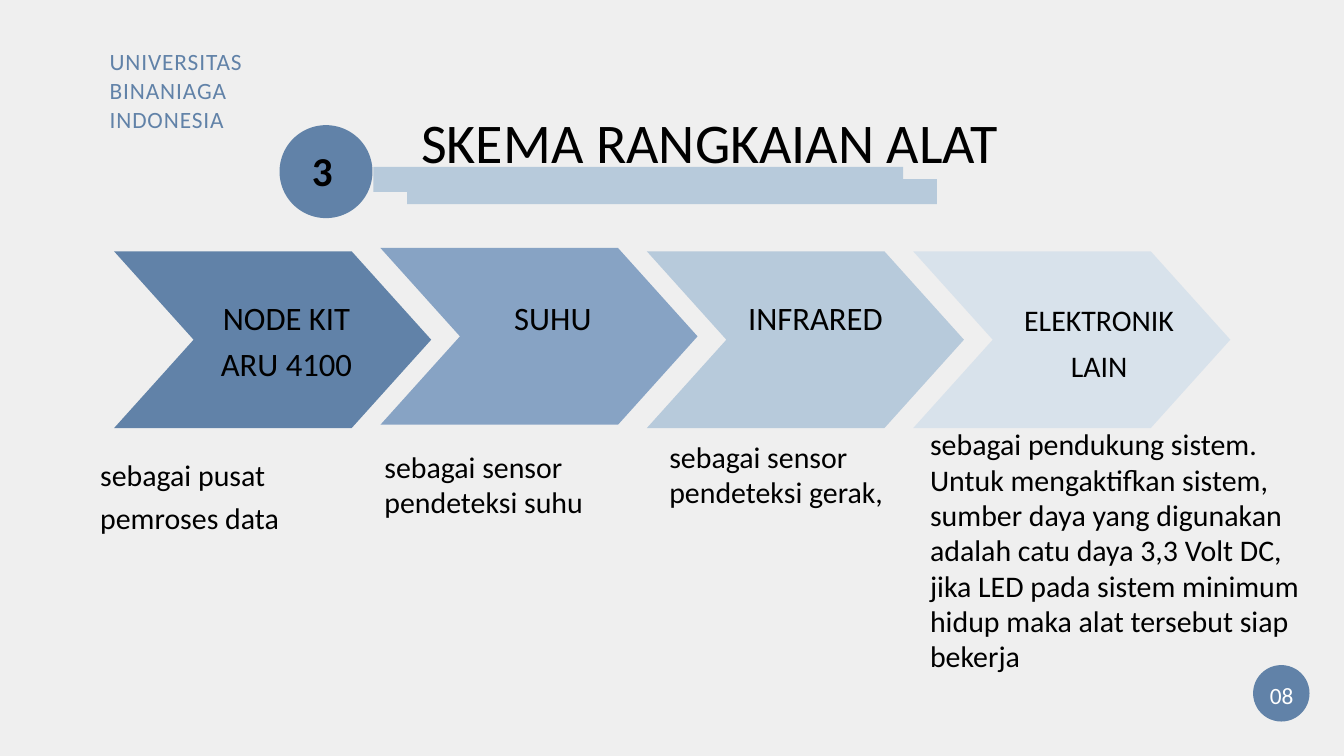
"""Builds the circuit scheme slide with four chevron stages."""
from pptx import Presentation
from pptx.dml.color import RGBColor
from pptx.enum import shapes, text
from pptx.util import Pt

LEFT, CENTER, JUSTIFY = text.PP_ALIGN.LEFT, text.PP_ALIGN.CENTER, text.PP_ALIGN.JUSTIFY
BLUE, PALE, BLACK, WHITE = "6182A8", "B7CADB", "000000", "FFFFFF"

HEADER = "UNIVERSITAS\nBINANIAGA INDONESIA"
TITLE = "SKEMA RANGKAIAN ALAT"
SECTION = "3"
PAGE_NUMBER = "08"
STAGES = [
    dict(label="NODE KIT ARU 4100", fill=BLUE, top=269.3, size=35, label_width=176.4,
         note="sebagai pusat pemroses data", note_box=(107.3, 481, 257.8, 91), spacing=46.2),
    dict(label="SUHU", fill="87A3C4", top=265.7, size=35, label_width=176.4,
         note="sebagai sensor pendeteksi suhu", note_box=(411.8, 481, 281.5, 77), spacing=37.8),
    dict(label="INFRARED ", fill=PALE, top=269.3, size=35, label_width=176.4,
         note="sebagai sensor pendeteksi gerak,", note_box=(717.1, 470.2, 281.5, 77), spacing=37.8),
    dict(label="ELEKTRONIK LAIN", fill="D8E2EB", top=269.3, size=32, label_width=205.2,
         note="sebagai pendukung sistem. Untuk mengaktifkan sistem, sumber daya yang digunakan "
              "adalah catu daya 3,3 Volt DC, jika LED pada sistem minimum hidup maka alat "
              "tersebut siap bekerja",
         note_box=(996.5, 457.2, 423.4, 268.6), spacing=37.8),
]
STAGE_LEFT, STAGE_PITCH, STAGE_WIDTH, STAGE_HEIGHT = 122.2, 285.4, 339.8, 189.4
LABEL_OFFSET, LABEL_TOP = 96.6, 312.5


def color(value):
    return RGBColor.from_string(value)


def add_block(page, kind, area, fill):
    block = page.shapes.add_shape(kind, *map(Pt, area))
    block.shadow.inherit = False
    block.fill.solid()
    block.fill.fore_color.rgb = color(fill)
    block.line.fill.background()
    return block


def add_text(page, words, area, size, spacing=None, align=LEFT, ink=BLACK, bold=False, tracking=0):
    box = page.shapes.add_textbox(*map(Pt, area))
    frame = box.text_frame
    frame.word_wrap = True
    frame.margin_left = frame.margin_right = frame.margin_top = frame.margin_bottom = 0
    frame.text = words
    for para in frame.paragraphs:
        para.alignment = align
        if spacing:
            para.line_spacing = Pt(spacing)
        for span in para.runs:
            span.font.name = "Calibri"
            span.font.size = Pt(size)
            span.font.bold = bold
            span.font.color.rgb = color(ink)
            if tracking:
                span.font._element.set("spc", str(tracking * 100))


def main():
    deck = Presentation()
    deck.slide_width, deck.slide_height = Pt(1440), Pt(810)
    page = deck.slides.add_slide(deck.slide_layouts[6])
    page.background.fill.solid()
    page.background.fill.fore_color.rgb = color("EFEFEF")
    kinds = shapes.MSO_SHAPE

    for index, stage in enumerate(STAGES):
        left = STAGE_LEFT + index * STAGE_PITCH
        chevron = add_block(page, kinds.CHEVRON,
                            (left, stage["top"], STAGE_WIDTH, STAGE_HEIGHT), stage["fill"])
        chevron.adjustments[0] = 0.45
        add_text(page, stage["label"],
                 (left + LABEL_OFFSET, LABEL_TOP, stage["label_width"], 97),
                 stage["size"], 49, CENTER)
        add_text(page, stage["note"], stage["note_box"], 32, stage["spacing"])

    for left, top in [(436.1, 191.8), (399.9, 178.8)]:
        add_block(page, kinds.RECTANGLE, (left, top, 567.8, 26.9), PALE)
    add_text(page, TITLE, (375.8, 103, 769.7, 82), 60, 84, CENTER)

    add_block(page, kinds.OVAL, (299.5, 134.1, 99.6, 99.6), BLUE)
    add_text(page, SECTION, (334.1, 156.2, 49, 53), 44, bold=True)
    add_block(page, kinds.OVAL, (1342.6, 712.6, 60.5, 60.5), BLUE)
    add_text(page, PAGE_NUMBER, (1341.4, 724.3, 63.4, 33), 25, 35, CENTER, WHITE)
    add_text(page, HEADER, (117.4, 49.7, 247.7, 93.6), 25, 31, JUSTIFY, BLUE, tracking=1)

    deck.save("out.pptx")


if __name__ == "__main__":
    main()
